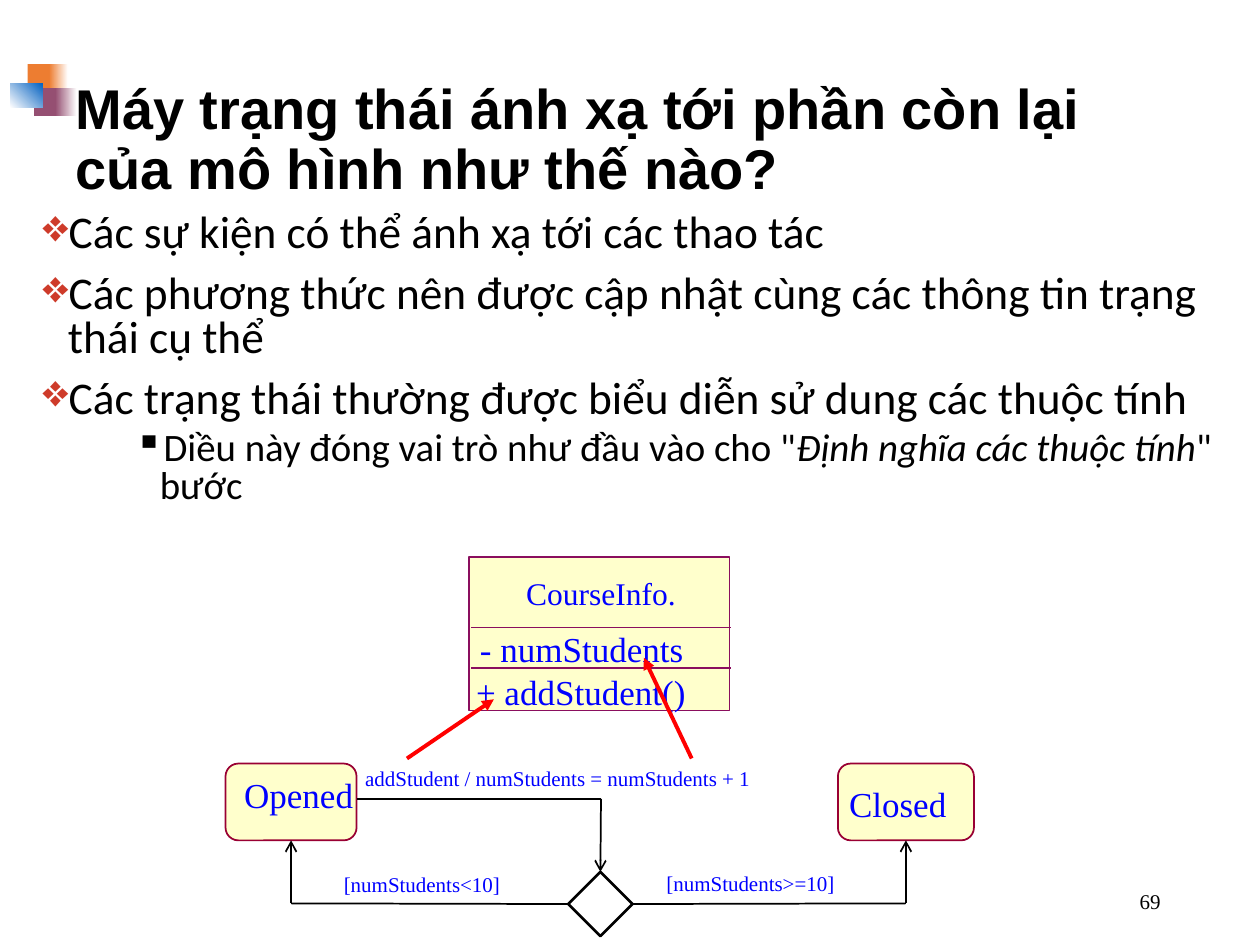
from lxml.etree import SubElement
from pptx import Presentation
from pptx.dml.color import RGBColor
from pptx.enum.shapes import MSO_CONNECTOR, MSO_SHAPE
from pptx.enum.text import MSO_ANCHOR, PP_ALIGN
from pptx.oxml.ns import qn
from pptx.util import Inches, Pt

BLACK = RGBColor(0, 0, 0)
WHITE = RGBColor(255, 255, 255)
BLUE = RGBColor(0, 0, 255)
RED = RGBColor(255, 0, 0)
CREAM = RGBColor(0xFF, 0xFF, 0xCC)
WINE = RGBColor(0x99, 0x00, 0x33)
PLUM = RGBColor(0x8A, 0x0E, 0x5E)
ORANGE = RGBColor(0xED, 0x7D, 0x31)
PURPLE = RGBColor(0x95, 0x4F, 0x72)
AZURE = RGBColor(0x05, 0x63, 0xC1)
SERIF = "Times New Roman"

TOP = {"mark": "❖", "tint": "CE3B2A", "left": 0.2, "size": 25.9, "gap": 10}
SUB = {"mark": "▪", "tint": "000000", "left": 0.93, "size": 22.2, "gap": 5}
POINTS = [
    (TOP, ["Các sự kiện có thể ánh xạ tới các thao tác"]),
    (TOP, ["Các phương thức nên được cập nhật cùng các thông tin trạng thái cụ thể"]),
    (TOP, ["Các trạng thái thường được biểu diễn sử dung các thuộc tính"]),
    (SUB, ['Diều này đóng vai trò như đầu vào cho "', "Định nghĩa các thuộc tính", '" bước']),
]


def style(font, **form):
    """Set font attributes; colour is given as rgb."""
    font.color.rgb = form.pop("rgb", BLACK)
    form["size"] = Pt(form["size"])
    for key, value in form.items():
        setattr(font, key, value)


def add_box(slide, place, anchor=MSO_ANCHOR.TOP):
    box = slide.shapes.add_textbox(*map(Inches, place))
    frame = box.text_frame
    frame.word_wrap = True
    frame.vertical_anchor = anchor
    return frame


def add_label(slide, text, place, size, rgb=BLUE, align=PP_ALIGN.LEFT,
              anchor=MSO_ANCHOR.TOP):
    para = add_box(slide, place, anchor).paragraphs[0]
    para.text = text
    para.alignment = align
    style(para.runs[0].font, name=SERIF, size=size, rgb=rgb)


def add_shape(slide, kind, place, fill=None, line=None, width=1):
    shape = slide.shapes.add_shape(kind, *map(Inches, place))
    shape.shadow.inherit = False
    if fill is None:
        shape.fill.background()
    else:
        shape.fill.solid()
        shape.fill.fore_color.rgb = fill
    if line is None:
        shape.line.fill.background()
    else:
        shape.line.color.rgb = line
        shape.line.width = Pt(width)
    return shape


def add_fade(slide, place, start, end, angle=0):
    fill = add_shape(slide, MSO_SHAPE.RECTANGLE, place).fill
    fill.gradient()
    fill.gradient_angle = angle
    for stop, rgb in zip(fill.gradient_stops, (start, end)):
        stop.color.rgb = rgb


def add_line(slide, start, end, rgb=BLACK, width=1, head=None, source=None, target=None):
    """Draw a line; source and target are (shape, side) pairs to join."""
    line = slide.shapes.add_connector(
        MSO_CONNECTOR.STRAIGHT, *map(Inches, start + end))
    if source:
        line.begin_connect(*source)
    if target:
        line.end_connect(*target)
    line.line.color.rgb = rgb
    line.line.width = Pt(width)
    if head:
        SubElement(line.line._get_or_add_ln(), qn("a:tailEnd"), type=head)
    SubElement(line._element.spPr, qn("a:effectLst"))


def add_logo(slide):
    """Draw the overlapping squares beside the title."""
    add_shape(slide, MSO_SHAPE.RECTANGLE, (0.22, 0.51, 0.2, 0.22), ORANGE)
    add_fade(slide, (0.39, 0.51, 0.15, 0.22), ORANGE, WHITE)
    add_shape(slide, MSO_SHAPE.RECTANGLE, (0.27, 0.7, 0.19, 0.22), PURPLE)
    add_fade(slide, (0.44, 0.7, 0.17, 0.22), PURPLE, WHITE)
    add_fade(slide, (0.08, 0.66, 0.26, 0.19), WHITE, AZURE, 45)


def add_title(slide):
    frame = add_box(slide, (0.5, 0.58, 9.33, 1.08), MSO_ANCHOR.MIDDLE)
    frame.margin_right = Inches(0.8)
    para = frame.paragraphs[0]
    para.text = "Máy trạng thái ánh xạ tới phần còn lại của mô hình như thế nào?"
    para.line_spacing = 0.9
    style(para.runs[0].font, name="Arial", size=32, bold=True)


def add_bullet(para, level):
    props = para._p.get_or_add_pPr()
    props.set("marL", str(Inches(level["left"])))
    props.set("indent", str(Inches(-0.2)))
    tint = SubElement(props, qn("a:buClr"))
    SubElement(tint, qn("a:srgbClr"), val=level["tint"])
    SubElement(props, qn("a:buChar"), char=level["mark"])


def add_points(slide):
    frame = add_box(slide, (0.24, 1.65, 9.51, 2.51))
    for i, (level, parts) in enumerate(POINTS):
        para = frame.add_paragraph() if i else frame.paragraphs[0]
        add_bullet(para, level)
        para.level = int(level is SUB)
        para.line_spacing = 0.8
        para.space_before = Pt(level["gap"] if i else 0)
        for j, text in enumerate(parts):
            run = para.add_run()
            run.text = text
            style(run.font, name="Calibri", size=level["size"], italic=j == 1)


def add_class(slide):
    add_shape(slide, MSO_SHAPE.RECTANGLE, (3.72, 4.42, 2.07, 1.22), CREAM, PLUM)
    for y in (4.98, 5.3):
        add_line(slide, (3.74, y), (5.8, y), PLUM)
    add_label(slide, "CourseInfo.", (3.63, 4.51, 2.28, 0.4), 18, align=PP_ALIGN.CENTER)
    add_label(slide, "- numStudents", (3.71, 4.93, 3.12, 0.44), 20)
    add_label(slide, "+ addStudent()", (3.68, 5.27, 3.73, 0.44), 20)


def add_states(slide):
    opened, closed = [
        add_shape(slide, MSO_SHAPE.ROUNDED_RECTANGLE, (x, 6.06, w, 0.61), CREAM, WINE)
        for x, w in ((1.79, 1.04), (6.65, 1.08))]
    add_label(slide, "Opened", (1.58, 6.09, 1.58, 0.44), 20, align=PP_ALIGN.CENTER)
    add_label(slide, "Closed", (6.64, 6.16, 1.03, 0.44), 20)
    choice = add_shape(slide, MSO_SHAPE.DIAMOND, (4.51, 6.92, 0.51, 0.51),
                       line=BLACK, width=1.5)

    for state, x, edge, side in ((opened, 2.31, 4.51, 1), (closed, 7.19, 5.02, 3)):
        add_line(slide, (edge, 7.17), (x, 7.17), source=(choice, side))
        add_line(slide, (x, 7.17), (x, 6.67), head="arrow", target=(state, 2))
    add_line(slide, (2.83, 6.34), (4.77, 6.34))
    add_line(slide, (4.77, 6.34), (4.77, 6.92), head="arrow", target=(choice, 0))

    add_label(slide, "addStudent / numStudents = numStudents + 1", (2.8, 6.03, 3.64, 0.3), 12)
    add_label(slide, "[numStudents<10]", (2.63, 6.87, 1.82, 0.3), 12)
    add_label(slide, "[numStudents>=10]", (5.19, 6.86, 1.82, 0.3), 12)


def main():
    deck = Presentation()
    deck.slide_width, deck.slide_height = Inches(10), Inches(7.5)
    slide = deck.slides.add_slide(deck.slide_layouts[6])
    add_logo(slide)
    add_title(slide)
    add_points(slide)
    add_label(slide, "69", (7.06, 6.95, 2.25, 0.4), 12, BLACK,
              PP_ALIGN.RIGHT, MSO_ANCHOR.MIDDLE)
    add_class(slide)
    add_states(slide)
    for start, end in (((5.49, 6.02), (5.11, 5.22)), ((3.23, 6.02), (3.92, 5.55))):
        add_line(slide, start, end, RED, 2.25, "triangle")
    deck.save("out.pptx")


if __name__ == "__main__":
    main()
